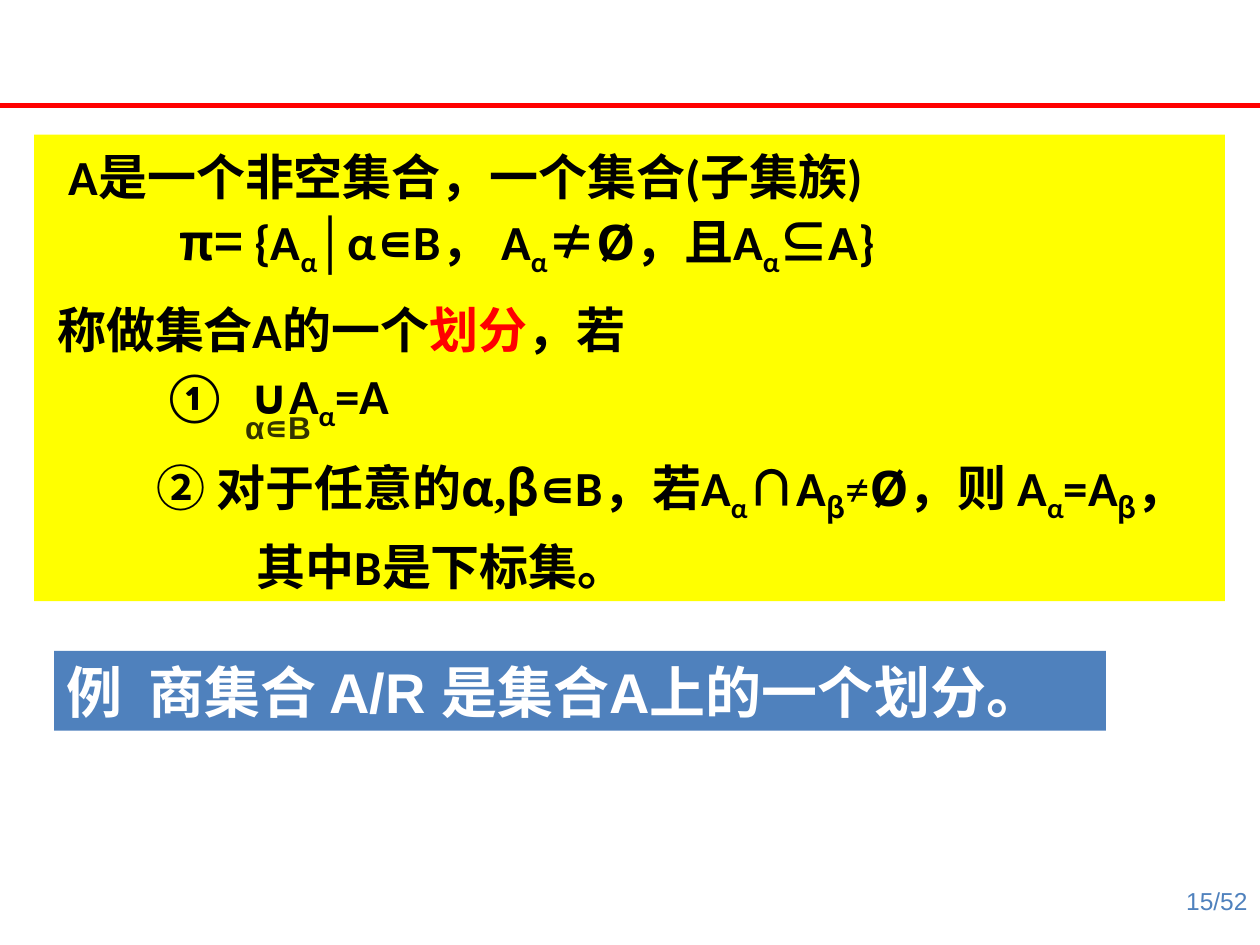
import pptx
import pptx.util
import pptx.dml.color
import pptx.enum.shapes
import pptx.enum.text
import pptx.oxml

Pt = pptx.util.Pt
ALIGN = pptx.enum.text.PP_ALIGN
ANCHOR = pptx.enum.text.MSO_ANCHOR

CAL, NOTO, OPEN = "Calibri", "Noto Sans CJK JP", "Open Sans"
ARIAL, TIMES = "Arial", "Times New Roman"
BLUE, RED, YELLOW = "4F81BD", "FF0000", "FFFF00"
HANG = 120

SUB = ("α", CAL, "sub")
BETA = ("β", NOTO, "sub")
# Each line: start of its first row, space before, runs of (text, font, style).
LINES = [
    (12.5, 0, [("A是一个非空集合，一个集合(子集族)", CAL, "")]),
    (76, 1.2, [("π= ", NOTO, ""), ("{A", CAL, ""), SUB, ("│", ARIAL, ""),
               ("α∊B， A", CAL, ""), SUB, ("≠", NOTO, ""), ("Ø", OPEN, ""),
               ("，且A", CAL, ""), SUB, ("⊆", NOTO, ""), ("A}", CAL, "")]),
    (6, 5.2, [("称做集合A的一个", CAL, ""), ("划分", CAL, "red"),
              ("，若", CAL, "")]),
    (66, 1.8, [("①  ∪A", CAL, ""), SUB, ("=A", CAL, "")]),
    (63, 12, [("② 对于任意的", CAL, ""), ("α", NOTO, ""), (",", TIMES, ""),
              ("β", NOTO, ""), ("∊B，若A", CAL, ""), SUB, ("∩", NOTO, ""),
              ("A", CAL, ""), BETA, ("≠", CAL, "thin"), ("Ø", OPEN, ""),
              ("，则 A", CAL, ""), SUB, ("=A", CAL, ""), BETA,
              ("，其中B是下标集。", CAL, "")]),
]


def tint(color, value):
    color.rgb = pptx.dml.color.RGBColor.from_string(value)


def fill(shape, value):
    shape.fill.solid()
    tint(shape.fill.fore_color, value)


def style(run, size, font, color, bold=True):
    run.font.size = Pt(size)
    run.font.name = font
    run.font.bold = bold
    tint(run.font.color, color)
    east = pptx.oxml.parse_xml(
        '<a:ea xmlns:a="http://schemas.openxmlformats.org/drawingml/2006/main"'
        f' typeface="{NOTO}"/>')
    run.font._element.append(east)


def indent(para, left, first):
    """Set the hanging indent and turn the bullet off."""
    props = para._p.get_or_add_pPr()
    props.set("marL", str(Pt(left)))
    props.set("indent", str(Pt(first - left)))
    props.append(props.makeelement(pptx.oxml.ns.qn("a:buNone"), {}))


def add_rule(slide):
    rule = slide.shapes.add_connector(
        pptx.enum.shapes.MSO_CONNECTOR.STRAIGHT, 0, Pt(60.5), Pt(720), Pt(60.5))
    tint(rule.line.color, RED)
    rule.line.width = Pt(3)
    props = rule._element.spPr
    props.append(props.makeelement(pptx.oxml.ns.qn("a:effectLst"), {}))


def add_body(slide):
    body = slide.placeholders[1]
    body.left, body.top, body.width, body.height = map(Pt, (19.5, 77, 680.5, 266.5))
    fill(body, YELLOW)
    frame = body.text_frame
    frame.auto_size = pptx.enum.text.MSO_AUTO_SIZE.NONE
    frame.vertical_anchor = ANCHOR.TOP
    frame.margin_top = frame.margin_bottom = 0
    for pos, (start, gap, parts) in enumerate(LINES):
        para = frame.add_paragraph() if pos else frame.paragraphs[0]
        para.alignment = ALIGN.LEFT
        para.line_spacing = Pt(40.5)
        para.space_before, para.space_after = Pt(gap), Pt(0)
        indent(para, HANG, start)
        for text, font, kind in parts:
            run = para.add_run()
            run.text = text
            style(run, 28, font, RED if kind == "red" else "000000", kind != "thin")
            if kind == "sub":
                run.font._element.set("baseline", "-25000")


def add_label(slide, box, text, size, color, bold=True, align=ALIGN.LEFT, wrap=True):
    label = slide.shapes.add_textbox(*map(Pt, box))
    frame = label.text_frame
    frame.word_wrap = wrap
    frame.text = text
    frame.paragraphs[0].alignment = align
    style(frame.paragraphs[0].runs[0], size, ARIAL, color, bold)
    return label


def main():
    deck = pptx.Presentation()
    deck.slide_width, deck.slide_height = Pt(720), Pt(540)
    slide = deck.slides.add_slide(deck.slide_layouts[1])
    title = slide.shapes.title._element
    title.getparent().remove(title)
    add_rule(slide)
    add_label(slide, (552, 502.5, 168, 37.5), "15/52", 14, BLUE, False, ALIGN.RIGHT)
    add_body(slide)
    # The body comes first in the tree, so the labels below lie over it.
    add_label(slide, (133, 229.5, 55, 29), "α∊B", 18, "333300", wrap=False)
    case = add_label(slide, (31, 372, 601, 45.5),
                     "例  商集合 A/R 是集合A上的一个划分。", 32, "FFFFFF")
    fill(case, BLUE)
    case.text_frame.vertical_anchor = ANCHOR.MIDDLE
    deck.save("out.pptx")


if __name__ == "__main__":
    main()
